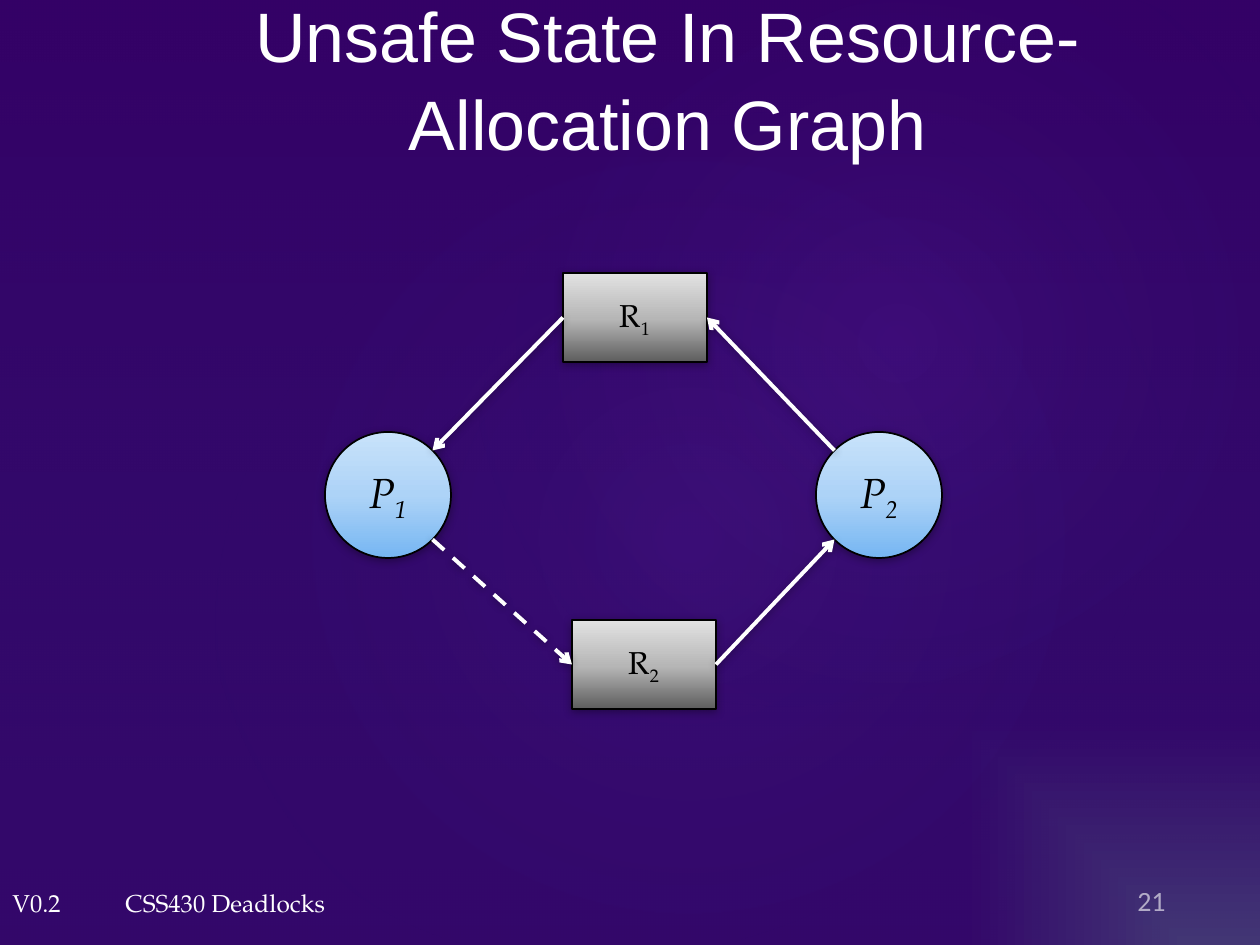
from math import sqrt

from lxml import etree
from pptx import Presentation
from pptx.dml.color import RGBColor
from pptx.enum.dml import MSO_LINE_DASH_STYLE as Dash
from pptx.enum.shapes import MSO_CONNECTOR as Connector, MSO_SHAPE as Shape
from pptx.enum.text import MSO_ANCHOR as Anchor, PP_ALIGN as Align
from pptx.oxml import parse_xml
from pptx.oxml.ns import nsdecls, qn
from pptx.util import Pt

EMU_PER_PX = 914400 / 126
SERIF = "TeX Gyre Pagella"
COLORS = {
    "white": "FFFFFF", "black": "000000",
    "corner": "463673", "backdrop": "350267",
    "veil": "330066", "navy": "263B86", "glow": "A347FF",
    "blue_dark": "76B6F2", "blue_mid": "ADD3F7", "blue_light": "C8E2FA",
    "gray_dark": "5E5E5E", "gray_mid": "B6B6B6", "gray_light": "E2E2E2",
}
# Gradient stops: position in percent, colour, opacity in percent
BLUE = [(0, "blue_dark", 100), (50, "blue_mid", 100), (100, "blue_light", 100)]
GRAY = [(0, "gray_dark", 100), (48, "gray_mid", 100), (100, "gray_light", 100)]
UPWARD = '<a:lin ang="16200000" scaled="0"/>'
DOWNWARD = '<a:lin ang="5400000" scaled="0"/>'


def px(*values):
    return [round(value * EMU_PER_PX) for value in values]


def rgb(name):
    return RGBColor.from_string(COLORS[name])


def radial(kind, left, top, right, bottom):
    return (f'<a:path path="{kind}"><a:fillToRect l="{left}000" t="{top}000" '
            f'r="{right}000" b="{bottom}000"/></a:path>')


def set_gradient(fill, parent, stops, direction):
    """Put a gradient in place of the solid fill held by parent."""
    fill.solid()
    stop_xml = "".join(
        f'<a:gs pos="{position}000"><a:srgbClr val="{COLORS[name]}">'
        f'<a:alpha val="{opacity}000"/></a:srgbClr></a:gs>'
        for position, name, opacity in stops)
    gradient = parse_xml(f'<a:gradFill {nsdecls("a")} rotWithShape="1">'
                         f'<a:gsLst>{stop_xml}</a:gsLst>{direction}</a:gradFill>')
    parent.replace(parent.find(qn("a:solidFill")), gradient)


def set_shadow(properties, visible=True):
    """Append the effect list; call it after fill and line are set."""
    effects = etree.SubElement(properties, qn("a:effectLst"))
    if visible:
        effects.append(parse_xml(
            f'<a:outerShdw {nsdecls("a")} blurRad="{Pt(5)}" dist="{Pt(1)}" dir="5400000" '
            f'rotWithShape="0"><a:srgbClr val="{COLORS["black"]}">'
            '<a:alpha val="32000"/></a:srgbClr></a:outerShdw>'))


def write_text(shape, text, subscript="", size=14, font=SERIF, color="white", opacity=100,
               italic=None, align=Align.LEFT, anchor=Anchor.TOP, wrap=True, spacing=None):
    frame = shape.text_frame
    frame.word_wrap = wrap
    frame.vertical_anchor = anchor
    paragraph = frame.paragraphs[0]
    paragraph.alignment = align
    paragraph.line_spacing = spacing
    for part, baseline in ((text, None), (subscript, "-25000")):
        if not part:
            continue
        run = paragraph.add_run()
        run.text = part
        run.font.size = Pt(size)
        run.font.name = font
        run.font.italic = italic
        run.font.color.rgb = rgb(color)
        if baseline:
            run.font._element.set("baseline", baseline)
        if opacity < 100:
            color_element = run.font._element.find(".//" + qn("a:srgbClr"))
            etree.SubElement(color_element, qn("a:alpha"), val=f"{opacity}000")


def add_label(slide, box, text, **text_format):
    label = slide.shapes.add_textbox(*px(*box))
    write_text(label, text, **text_format)
    return label


def add_decoration(slide, kind, box, stops, direction, rotation=0):
    shape = slide.shapes.add_shape(kind, *px(*box))
    shape.rotation = rotation
    set_gradient(shape.fill, shape._element.spPr, stops, direction)
    shape.line.fill.background()
    set_shadow(shape._element.spPr, visible=False)


def add_node(slide, kind, box, stops, letter, number, **text_format):
    shape = slide.shapes.add_shape(kind, *px(*box))
    set_gradient(shape.fill, shape._element.spPr, stops, UPWARD)
    shape.line.color.rgb = rgb("black")
    shape.line.width = Pt(1)
    set_shadow(shape._element.spPr)
    write_text(shape, letter, number, color="black", align=Align.CENTER,
               anchor=Anchor.MIDDLE, **text_format)


def add_process(slide, box, number):
    add_node(slide, Shape.OVAL, box, BLUE, "P", number, size=24, italic=True)


def add_resource(slide, box, number):
    add_node(slide, Shape.RECTANGLE, box, GRAY, "R", number, size=18, wrap=False)


def add_arrow(slide, start, end, dashed=False):
    arrow = slide.shapes.add_connector(Connector.STRAIGHT, *px(*start, *end))
    arrow.line.color.rgb = rgb("white")
    arrow.line.width = Pt(2.25)
    if dashed:
        arrow.line.dash_style = Dash.DASH
    properties = arrow._element.spPr
    etree.SubElement(properties.find(qn("a:ln")), qn("a:tailEnd"), type="arrow")
    set_shadow(properties)


def side(box, direction):
    """Middle of the left (-1) or right (1) edge of a resource."""
    left, top, width, height = box
    return left + width * (direction + 1) / 2, top + height / 2


def diagonal(box, horizontal, vertical):
    """Point on a process circle at 45 degrees."""
    left, top, size, _ = box
    radius, reach = size / 2, size / 2 / sqrt(2)
    return left + radius + horizontal * reach, top + radius + vertical * reach


def add_background(slide):
    fill = slide.background.fill
    fill.solid()
    set_gradient(fill, slide._element.find(".//" + qn("p:bgPr")),
                 [(0, "corner", 100), (47, "backdrop", 100)],
                 radial("rect", 100, 100, 0, 0))
    add_decoration(slide, Shape.RECTANGLE, (0, 0, 1260, 945),
                   [(0, "veil", 36), (100, "navy", 10)], DOWNWARD)
    for box, opacity in (((189, 144, 998, 786), 7), ((451, 16, 893, 655), 8)):
        add_decoration(slide, Shape.OVAL, box, [(0, "glow", opacity), (58, "navy", 0)],
                       radial("circle", 50, 50, 50, 50), rotation=328.7)


def add_graph(slide):
    process_1, process_2 = (325, 432, 126, 126), (816, 432, 126, 126)
    resource_1, resource_2 = (563, 273, 144, 89), (572, 620, 144, 89)

    # Nodes
    add_process(slide, process_1, "1")
    add_resource(slide, resource_1, "1")
    add_process(slide, process_2, "2")
    add_resource(slide, resource_2, "2")

    # Assignments and requests, with the claim dashed
    add_arrow(slide, side(resource_1, -1), diagonal(process_1, 1, -1))
    add_arrow(slide, diagonal(process_2, -1, -1), side(resource_1, 1))
    add_arrow(slide, diagonal(process_1, 1, 1), side(resource_2, -1), dashed=True)
    add_arrow(slide, side(resource_2, 1), diagonal(process_2, -1, 1))


def main():
    presentation = Presentation()
    presentation.slide_width, presentation.slide_height = px(1260, 945)
    slide = presentation.slides.add_slide(presentation.slide_layouts[6])
    add_background(slide)

    # Footer, title and page number
    add_label(slide, (0, 882, 74, 43), "V0.2", wrap=False)
    add_label(slide, (113, 882, 716, 43), "CSS430 Deadlocks")
    add_label(slide, (107, 0, 1121, 154), "Unsafe State In Resource-Allocation Graph",
              size=40, font="Arial", align=Align.CENTER, anchor=Anchor.MIDDLE, spacing=1.04)
    page_number = add_label(slide, (1037, 873, 141, 50), "21", size=16, font="Calibri",
                            opacity=60, align=Align.RIGHT, anchor=Anchor.MIDDLE)
    page_number.text_frame.margin_bottom = Pt(1)

    add_graph(slide)
    presentation.save("out.pptx")


if __name__ == "__main__":
    main()
